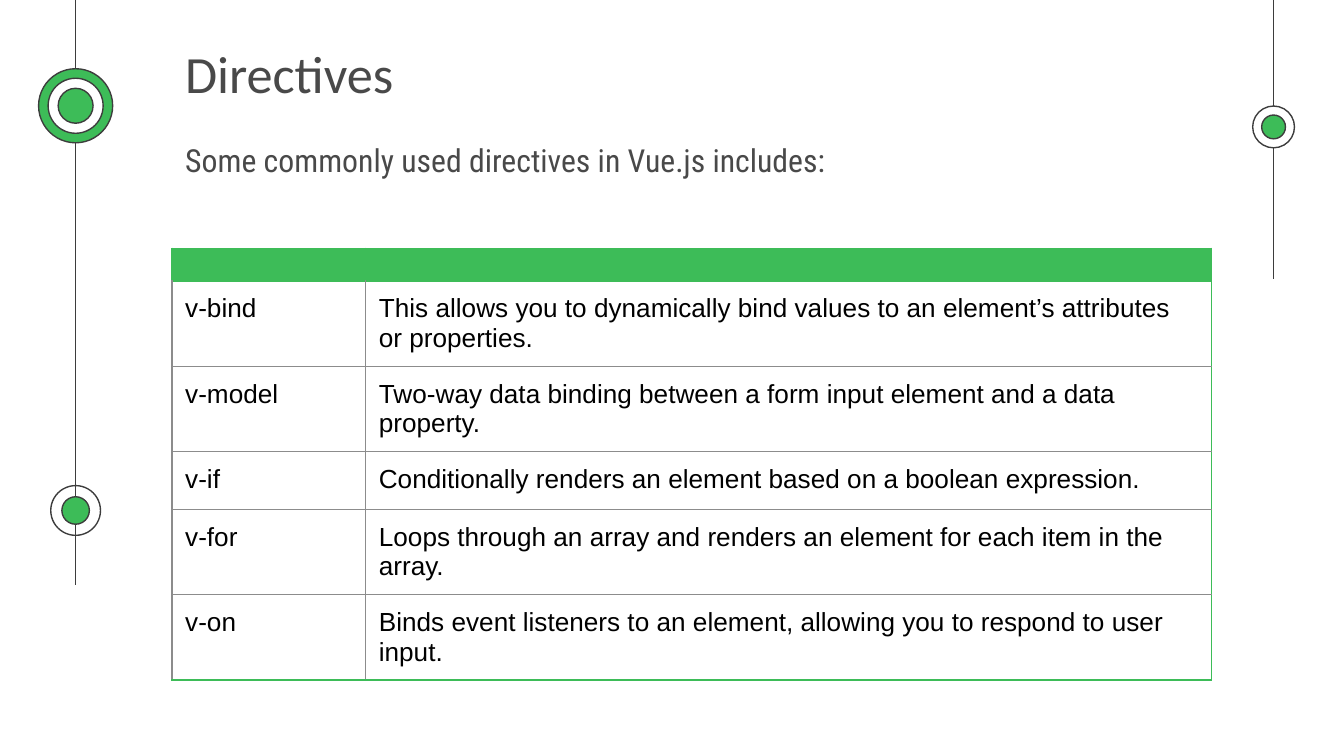
from lxml import etree
from pptx import Presentation
from pptx import util as u
from pptx.dml import color
from pptx.enum import shapes, text
from pptx.oxml import ns

COLORS = {
    "green": "3DBC58",
    "dark": "3D3D3D",
    "text": "494949",
    "white": "FFFFFF",
    "black": "000000",
    "grey": "8C8C8C",
}
INSET = u.Cm(0.25)
MARGINS = {f"margin_{side}": INSET for side in ("left", "top", "right", "bottom")}
HEADER_MARGINS = dict.fromkeys(MARGINS, 0)
FRAME = {
    **MARGINS,
    "word_wrap": True,
    "auto_size": text.MSO_AUTO_SIZE.NONE,
    "vertical_anchor": text.MSO_ANCHOR.TOP,
}
TITLE = {"name": "Calibri", "size": u.Pt(28), "bold": False}
BODY = {"name": "Roboto Condensed", "size": u.Pt(17)}
CELL = {"name": "Arial", "size": u.Pt(14), "bold": False}
LINE_WIDTH = u.Pt(0.75)

DIRECTIVES = [
    ("v-bind", "This allows you to dynamically bind values to an element’s attributes or properties."),
    ("v-model", "Two-way data binding between a form input element and a data property."),
    ("v-if", "Conditionally renders an element based on a boolean expression."),
    ("v-for", "Loops through an array and renders an element for each item in the array."),
    ("v-on", "Binds event listeners to an element, allowing you to respond to user input."),
]


def rgb(name):
    return color.RGBColor.from_string(COLORS[name])


def apply(target, values):
    for key, value in values.items():
        setattr(target, key, value)


class Deck:
    def __init__(self, width, height):
        self.prs = Presentation()
        self.prs.slide_width = u.Cm(width)
        self.prs.slide_height = u.Cm(height)
        self.s = self.prs.slides.add_slide(self.prs.slide_layouts[1])

    def add_text(self, tf, content, font, fill, align=text.PP_ALIGN.LEFT):
        p = tf.paragraphs[0]
        apply(p, {"alignment": align, "space_before": u.Pt(0)})
        r = p.add_run()
        r.text = content
        apply(r.font, font)
        r.font.color.rgb = rgb(fill)
        return p

    def placeholder(self, idx, box, content, font, align):
        sp = self.s.placeholders[idx]
        apply(sp, dict(zip(("left", "top", "width", "height"), map(u.Cm, box))))
        apply(sp.text_frame, FRAME)
        p = self.add_text(sp.text_frame, content, font, "text", align)
        pPr = p._p.get_or_add_pPr()
        pPr.set("marL", "0")
        pPr.set("indent", "0")
        etree.SubElement(pPr, ns.qn("a:buNone"))

    def rail(self, x, length):
        cx = u.Cm(x)
        sp = self.s.shapes.add_connector(shapes.MSO_CONNECTOR.STRAIGHT, cx, 0, cx, u.Cm(length))
        sp.line.color.rgb = rgb("dark")
        sp.line.width = LINE_WIDTH
        etree.SubElement(sp._element.spPr, ns.qn("a:effectLst"))

    def rings(self, x, y, discs):
        for d, fill in discs:
            sp = self.s.shapes.add_shape(
                shapes.MSO_SHAPE.OVAL, u.Cm(x - d / 2), u.Cm(y - d / 2), u.Cm(d), u.Cm(d))
            sp.shadow.inherit = False
            if fill:
                sp.fill.solid()
                sp.fill.fore_color.rgb = rgb(fill)
            else:
                sp.fill.background()
            sp.line.color.rgb = rgb("dark")
            sp.line.width = LINE_WIDTH

    def borders(self, cell, sides):
        tcPr = cell._tc.get_or_add_tcPr()
        for i, (side, name) in enumerate(sides.items()):
            ln = etree.Element(ns.qn(f"a:ln{side}"), w=str(LINE_WIDTH))
            fill = etree.SubElement(ln, ns.qn("a:solidFill"))
            etree.SubElement(fill, ns.qn("a:srgbClr"), val=COLORS[name])
            tcPr.insert(i, ln)

    def table(self, x, y, widths, header_height, row_height, rows):
        count = len(rows)
        heights = [header_height] + [row_height] * count
        tbl = self.s.shapes.add_table(
            count + 1, len(widths), u.Cm(x), u.Cm(y), u.Cm(sum(widths)), u.Cm(sum(heights))).table
        tbl.horz_banding = False
        for col, width in zip(tbl.columns, widths):
            col.width = u.Cm(width)
        for row, height in zip(tbl.rows, heights):
            row.height = u.Cm(height)
        for j in range(len(widths)):
            head = tbl.cell(0, j)
            apply(head, HEADER_MARGINS)
            head.fill.solid()
            head.fill.fore_color.rgb = rgb("green")
            etree.SubElement(head.text_frame.paragraphs[0]._p, ns.qn("a:endParaRPr"), sz="1000")
            self.borders(head, dict.fromkeys("LRTB", "green"))
            for i, row in enumerate(rows, 1):
                cell = tbl.cell(i, j)
                apply(cell, MARGINS)
                cell.fill.background()
                self.add_text(cell.text_frame, row[j], CELL, "black")
                self.borders(cell, {
                    "L": "grey",
                    "R": "green" if j == len(widths) - 1 else "grey",
                    "T": "green" if i == 1 else "grey",
                    "B": "green" if i == count else "grey",
                })


def main():
    deck = Deck(25.4, 14.29)
    left, right = 1.43, 24.07
    deck.rail(left, 11.05)
    deck.rail(right, 5.28)
    deck.rings(left, 9.65, [(0.94, None), (0.52, "green")])
    deck.rings(right, 2.4, [(0.79, "white"), (0.45, "green")])
    deck.rings(left, 2, [(1.4, "green"), (1.04, "white"), (0.66, "green")])

    margin = 3.25
    deck.placeholder(0, (margin, 0.53, 13.74, 1.6), "Directives", TITLE, text.PP_ALIGN.LEFT)
    deck.placeholder(1, (margin, 2.41, 18.9, 1.24),
                     "Some commonly used directives in Vue.js includes:", BODY, text.PP_ALIGN.JUSTIFY)
    deck.table(margin, 4.69, (3.66, 15.98), 0.62, 1.1, DIRECTIVES)
    deck.prs.save("out.pptx")


if __name__ == "__main__":
    main()
